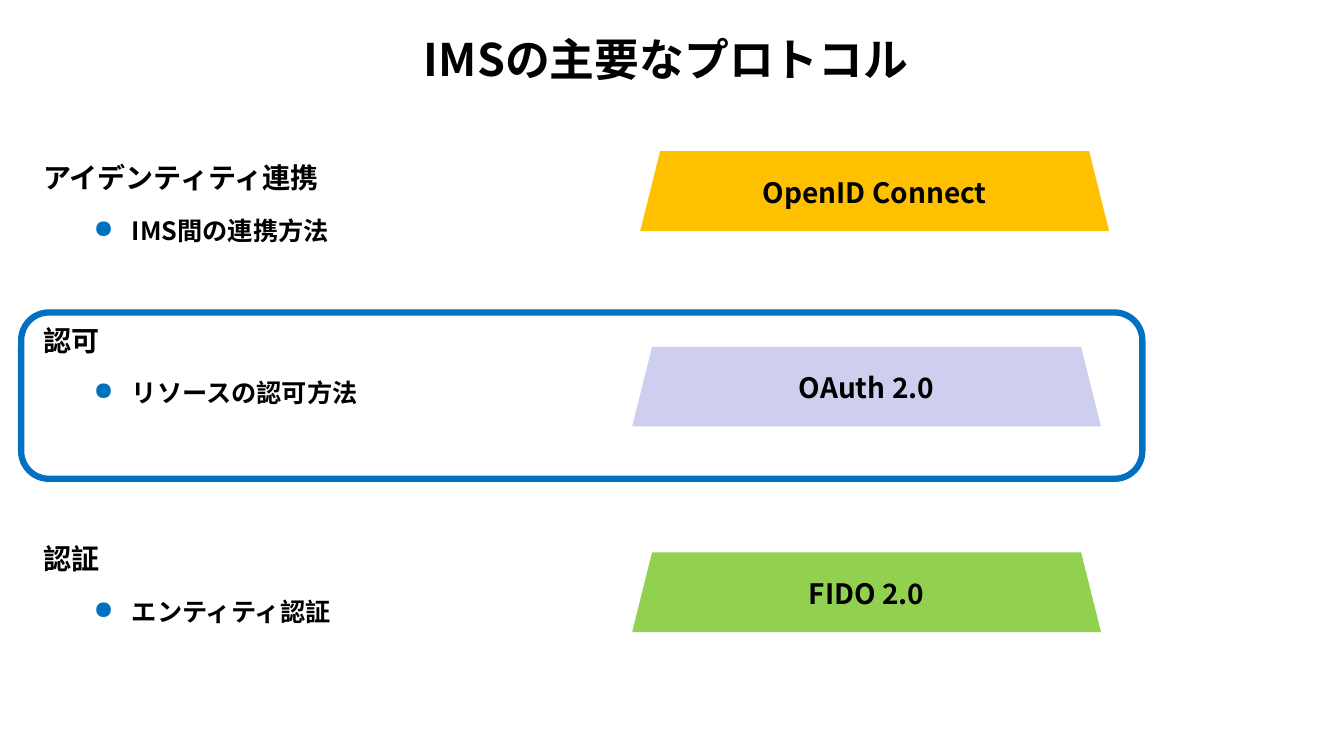
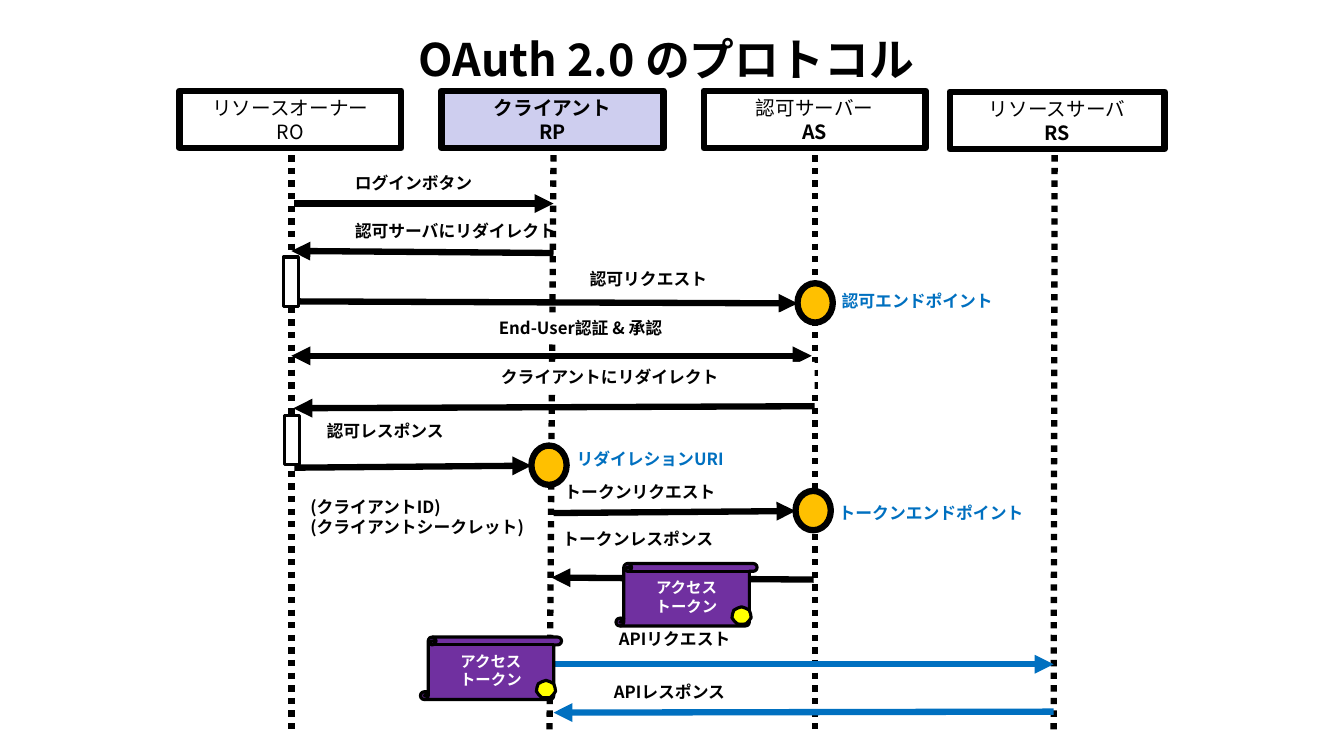
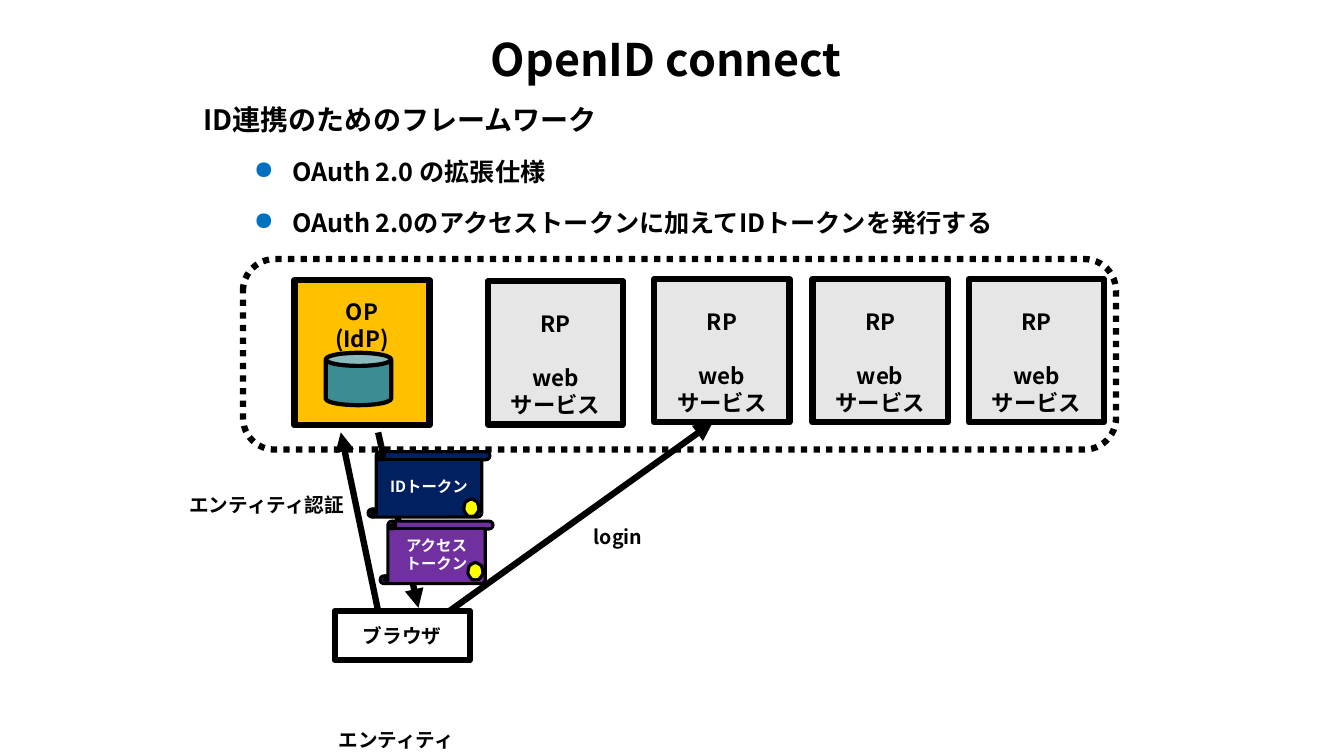
from lxml import etree
from pptx import Presentation
from pptx import util as u
from pptx.dml.color import RGBColor
from pptx.enum import dml, shapes, text
from pptx.oxml.ns import qn

FONT = "Noto Sans CJK JP"
COLORS = {
    "black": "000000", "white": "FFFFFF", "blue": "0070C0", "navy": "002060",
    "amber": "FFC000", "lavender": "CECEEF", "green": "92D050", "purple": "7030A0",
    "yellow": "FFFF00", "gray": "E6E6E6", "teal": "3C8C93",
}
SHAPE = shapes.MSO_SHAPE
LEFT, CENTER = text.PP_ALIGN.LEFT, text.PP_ALIGN.CENTER
TOP, MIDDLE = text.MSO_ANCHOR.TOP, text.MSO_ANCHOR.MIDDLE
THICK = 4.5


# ---- Shared helpers ----
def rgb(color):
    return RGBColor.from_string(COLORS[color])


def style_paragraph(paragraph, size, color="black", bold=True, align=LEFT):
    paragraph.alignment = align
    font = paragraph.font
    font.size, font.bold, font.name = u.Pt(size), bold, FONT
    font.color.rgb = rgb(color)
    properties = paragraph._p.pPr.find(qn("a:defRPr"))
    etree.SubElement(properties, qn("a:ea")).set("typeface", FONT)


def write(shape, lines, size, color="black", align=LEFT, anchor=TOP, wrap=True):
    """Fill a shape with lines; a line is a string or a (string, bold) pair."""
    frame = shape.text_frame
    frame.word_wrap, frame.vertical_anchor = wrap, anchor
    for index, line in enumerate(lines):
        words, bold = line if isinstance(line, tuple) else (line, True)
        paragraph = frame.paragraphs[0] if index == 0 else frame.add_paragraph()
        paragraph.add_run().text = words
        style_paragraph(paragraph, size, color, bold, align)
    return frame


def add_label(slide, box, words, size=12, **options):
    label = slide.shapes.add_textbox(*map(u.Inches, box))
    write(label, [words], size, **options)


def add_box(slide, kind, box, fill=None, line=None, width=THICK, dotted=False):
    shape = slide.shapes.add_shape(kind, *map(u.Inches, box))
    shape.shadow.inherit = False
    if fill:
        shape.fill.solid()
        shape.fill.fore_color.rgb = rgb(fill)
    else:
        shape.fill.background()
    if line:
        shape.line.color.rgb = rgb(line)
        shape.line.width = u.Pt(width)
        if dotted:
            shape.line.dash_style = dml.MSO_LINE.ROUND_DOT
    else:
        shape.line.fill.background()
    return shape


def add_line(slide, start, end, color="black", dotted=False, heads=("tailEnd",)):
    line = slide.shapes.add_connector(
        shapes.MSO_CONNECTOR.STRAIGHT, *map(u.Inches, (*start, *end)))
    line.line.color.rgb = rgb(color)
    line.line.width = u.Pt(THICK)
    if dotted:
        line.line.dash_style = dml.MSO_LINE.ROUND_DOT
    for head in heads:
        etree.SubElement(line.get_or_add_ln(), qn("a:" + head)).set("type", "triangle")
    etree.SubElement(line._element.spPr, qn("a:effectLst"))


def add_titled_slide(presentation, title):
    slide = presentation.slides.add_slide(presentation.slide_layouts[6])
    add_label(slide, (0.33, 0.17, 12.56, 0.83), title, 32, align=CENTER, anchor=MIDDLE)
    return slide


def add_bullet(paragraph):
    properties = paragraph._p.get_or_add_pPr()
    properties.set("marL", str(u.Inches(0.88)))
    properties.set("indent", str(u.Inches(-0.38)))
    color = etree.SubElement(properties, qn("a:buClr"))
    etree.SubElement(color, qn("a:srgbClr")).set("val", COLORS["blue"])
    etree.SubElement(properties, qn("a:buChar")).set("char", "●")


def add_outline(slide, box, heading, bullets):
    """A heading with bulleted points below it."""
    frame = slide.shapes.add_textbox(*map(u.Inches, box)).text_frame
    frame.word_wrap = True
    for index, words in enumerate([heading, *bullets]):
        paragraph = frame.add_paragraph() if index else frame.paragraphs[0]
        paragraph.add_run().text = words
        paragraph.line_spacing = 1.5
        if index:
            paragraph.space_before = u.Pt(4)
            add_bullet(paragraph)
        style_paragraph(paragraph, 18 if index else 20)


def add_token(slide, box, lines, fill, seal):
    """A scroll with a round seal; seal is placed relative to the scroll."""
    scroll = add_box(slide, SHAPE.VERTICAL_SCROLL, box, fill, "black", 2.25)
    write(scroll, lines, 11, "white", CENTER, MIDDLE)
    left, top, width = seal
    star = add_box(slide, SHAPE.STAR_7_POINT,
                   (box[0] + left, box[1] + top, width, 0.17), "yellow", "black", 2.25)
    star.adjustments[0] = 0.47


# ---- Slide 1: protocols ----
def build_protocols(presentation):
    slide = add_titled_slide(presentation, "IMSの主要なプロトコル")
    rows = [
        (1.38, "アイデンティティ連携", "IMS間の連携方法", (6.35, 1.5), "OpenID Connect", "amber"),
        (2.99, "認可", "リソースの認可方法", (6.27, 3.44), "OAuth 2.0", "lavender"),
        (5.16, "認証", "エンティティ認証", (6.27, 5.48), "FIDO 2.0", "green"),
    ]
    for top, heading, point, corner, protocol, fill in rows:
        add_outline(slide, (0.33, top, 5.8, 1.2), heading, [point])
        block = add_box(slide, SHAPE.TRAPEZOID, (*corner, 4.65, 0.79), fill)
        write(block, [protocol], 20, align=CENTER, anchor=MIDDLE)
    # Highlight around the middle row
    add_box(slide, SHAPE.ROUNDED_RECTANGLE, (0.21, 3.1, 11.12, 1.65), line="blue")


# ---- Slide 2: sequence diagram ----
def build_sequence(presentation):
    slide = add_titled_slide(presentation, "OAuth 2.0 のプロトコル")

    # Lifelines
    for top_x, bottom_x in [(2.89, 2.89), (5.49, 5.45), (8.08, 8.08), (10.46, 10.45)]:
        add_line(slide, (top_x, 1.54), (bottom_x, 7.29), dotted=True, heads=())

    # Messages
    messages = [
        ((2.92, 2.02), (5.49, 2.02)), ((5.49, 2.51), (2.89, 2.49)),
        ((2.89, 2.99), (7.91, 3.01)), ((8.08, 4.03), (2.91, 4.05)),
        ((2.92, 4.64), (5.27, 4.62)), ((5.49, 5.09), (7.89, 5.07)),
        ((8.07, 5.75), (5.47, 5.73)),
    ]
    for start, end in messages:
        add_line(slide, start, end)
    add_line(slide, (2.89, 3.53), (8.05, 3.53), heads=("headEnd", "tailEnd"))
    add_line(slide, (5.47, 6.59), (10.45, 6.59), "blue")
    add_line(slide, (10.45, 7.06), (5.49, 7.07), "blue")

    # Message labels
    labels = [
        (3.42, 1.66, 2.81, "ログインボタン"), (3.42, 2.14, 2.89, "認可サーバにリダイレクト"),
        (5.75, 2.62, 2.1, "認可リクエスト"), (3.14, 4.12, 3.21, "認可レスポンス"),
        (5.5, 4.73, 3.21, "トークンリクエスト"), (5.48, 5.2, 3.21, "トークンレスポンス"),
        (6.04, 6.19, 3.21, "APIリクエスト"), (5.99, 6.71, 4.12, "APIレスポンス"),
    ]
    for left, top, width, words in labels:
        add_label(slide, (left, top, width, 0.3), words)
    masked_labels = [
        ((4.85, 3.1, 2.89, 0.3), ["End-User認証 & 承認"]),
        ((4.87, 3.59, 3.21, 0.3), ["クライアントにリダイレクト"]),
        ((2.98, 4.88, 2.36, 0.5), ["(クライアントID)", "(クライアントシークレット)"]),
    ]
    for box, lines in masked_labels:
        write(add_box(slide, SHAPE.RECTANGLE, box, "white"), lines, 12)

    # Activation bars
    for left, top in [(2.81, 2.55), (2.82, 4.12)]:
        add_box(slide, SHAPE.RECTANGLE, (left, top, 0.15, 0.49), "white", "black", 2.25)

    # Access tokens
    for left, top in [(6.11, 5.59), (4.17, 6.32)]:
        add_token(slide, (left, top, 1.4, 0.62), ["アクセス", "トークン"], "purple",
                  (1.15, 0.43, 0.19))

    # Participants
    participants = [
        (1.78, 0.9, 2.2, None, [("リソースオーナー", False), ("RO", False)]),
        (4.38, 0.9, 2.2, "lavender", ["クライアント", "RP"]),
        (6.98, 0.9, 2.2, None, [("認可サーバー", False), "AS"]),
        (9.42, 0.91, 2.13, None, [("リソースサーバ", False), "RS"]),
    ]
    for left, top, width, fill, lines in participants:
        header = add_box(slide, SHAPE.RECTANGLE, (left, top, width, 0.57), fill, "black")
        write(header, lines, 14, align=CENTER, anchor=MIDDLE)

    # Endpoints
    endpoints = [
        (7.91, 2.81, 8.25, 2.84, "認可エンドポイント"),
        (5.27, 4.42, 5.62, 4.4, "リダイレションURI"),
        (7.89, 4.87, 8.22, 4.94, "トークンエンドポイント"),
    ]
    for left, top, label_left, label_top, words in endpoints:
        add_box(slide, SHAPE.OVAL, (left, top, 0.35, 0.39), "amber", "black")
        add_label(slide, (label_left, label_top, 2.3, 0.3), words, color="blue")


# ---- Slide 3: identity federation ----
def add_server(slide, box, fill, lines, inset):
    server = add_box(slide, SHAPE.RECTANGLE, box, fill, "black")
    frame = write(server, lines, 16, align=CENTER)
    frame.margin_top = u.Inches(inset)
    return frame


def build_federation(presentation):
    slide = add_titled_slide(presentation, "OpenID connect")
    add_outline(slide, (1.92, 0.8, 9.53, 1.91), "ID連携のためのフレームワーク", [
        "OAuth 2.0 の拡張仕様",
        "OAuth 2.0のアクセストークンに加えてIDトークンを発行する",
    ])

    # Federation: one provider and four relying parties
    add_server(slide, (2.92, 2.78, 1.34, 1.44), "amber", ["OP", "(IdP)"], 0.18)
    add_box(slide, SHAPE.ROUNDED_RECTANGLE, (2.41, 2.57, 8.66, 1.89),
            line="black", dotted=True)
    for left, top in [(4.84, 2.79), (6.49, 2.77), (8.06, 2.77), (9.61, 2.77)]:
        frame = add_server(slide, (left, top, 1.34, 1.42), "gray",
                           ["RP", "web", "サービス"], 0.29)
        frame.paragraphs[1].space_before = u.Pt(19)
    add_box(slide, SHAPE.CAN, (3.23, 3.5, 0.65, 0.52), "teal", "black", 3)

    # Browser and its exchanges
    browser = add_box(slide, SHAPE.RECTANGLE, (3.32, 6.06, 1.34, 0.49), line="black")
    write(browser, ["ブラウザ"], 14, align=CENTER, anchor=MIDDLE)
    for start, end in [((3.75, 6.06), (3.38, 4.29)), ((3.75, 4.29), (4.15, 6.03)),
                       ((4.46, 6.06), (7.07, 4.19))]:
        add_line(slide, start, end)
    add_token(slide, (3.77, 5.17, 1.12, 0.62), ["アクセス", "トークン"], "purple",
              (0.87, 0.41, 0.15))
    add_token(slide, (3.65, 4.48, 1.21, 0.65), ["IDトークン"], "navy", (0.95, 0.47, 0.15))

    # Labels
    for left, top, width, words in [(3.26, 7.17, 1.38, "エンティティ"),
                                    (1.78, 4.84, 1.77, "エンティティ認証"),
                                    (5.79, 5.16, 0.71, "login")]:
        add_label(slide, (left, top, width, 0.34), words, 14, wrap=False)


def main():
    presentation = Presentation()
    presentation.slide_width = u.Inches(13.33)
    presentation.slide_height = u.Inches(7.5)
    build_protocols(presentation)
    build_sequence(presentation)
    build_federation(presentation)
    presentation.save("out.pptx")


if __name__ == "__main__":
    main()
